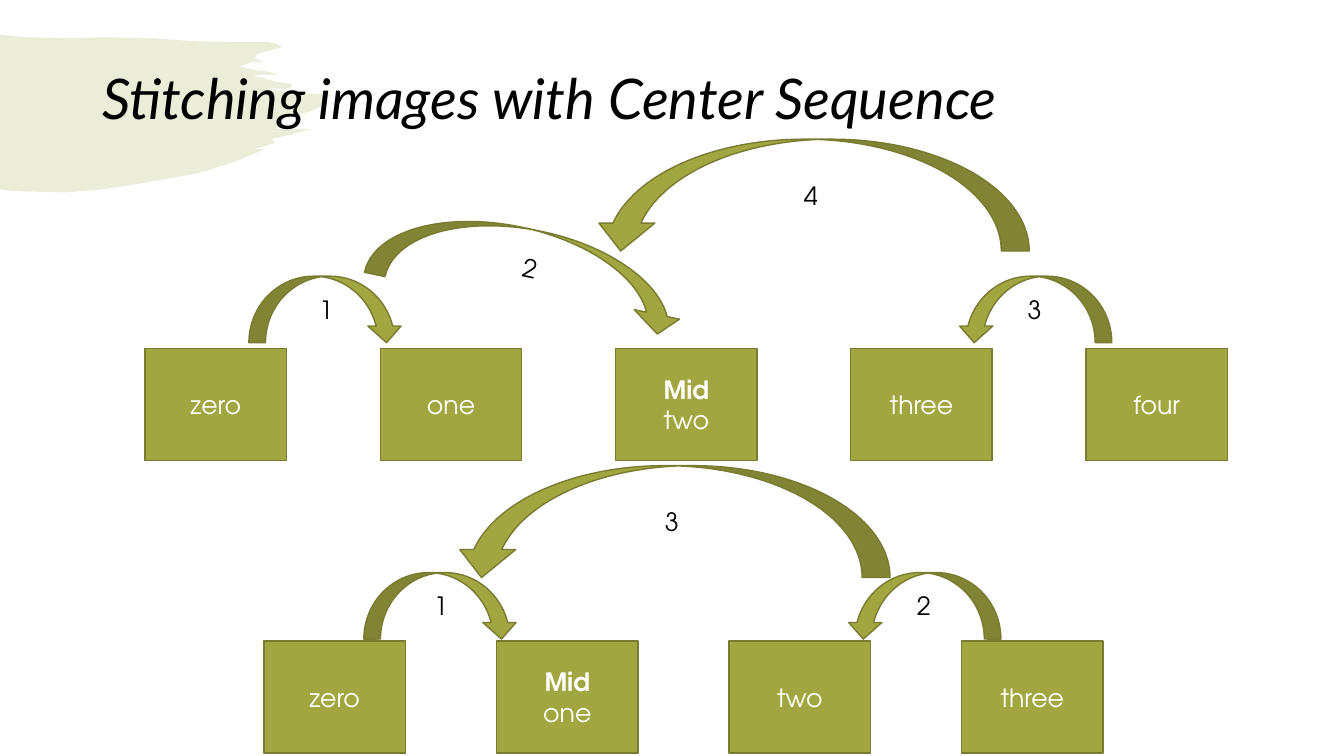
from lxml import etree
from pptx import Presentation
from pptx import util as u
from pptx.dml.color import RGBColor
from pptx.enum import shapes, text
from pptx.oxml.ns import qn

OLIVE = RGBColor(0xA2, 0xA6, 0x41)
DARK_OLIVE = RGBColor(0x78, 0x7B, 0x30)
WHITE = RGBColor(0xFF, 0xFF, 0xFF)
BLACK = RGBColor(0, 0, 0)
BODY_FONT, TITLE_FONT = "TeX Gyre Adventor", "Lato"

BOX_W, BOX_H = 101, 80
SMALL_ARC, LARGE_ARC = (110.2, 47.5), (311.8, 79.9)

# Box rows: left, top, step, labels
ROWS = [
    (103.7, 249.1, 168, ["zero", "one", "Mid\ntwo", "three", "four"]),
    (188.6, 457.9, 166.1, ["zero", "Mid\none", "two", "three"]),
]

# Arrows: label, left, top, size, leftward, rotation, adjustments
ARROWS = [
    ("1", 177.8, 197.3, SMALL_ARC, False, 0, ()),
    ("2", 263.5, 164.2, (230.4, 54.7), False, 11.9, (0.275, 0.605, 0.25)),
    ("4", 423.4, 99.4, LARGE_ARC, True, 0, ()),
    ("3", 684, 197.3, SMALL_ARC, True, 0, ()),
    ("1", 259.9, 409, SMALL_ARC, False, 0, ()),
    ("3", 324, 332.6, LARGE_ARC, True, 0, ()),
    ("2", 604.8, 409, SMALL_ARC, True, 0, ()),
]

# Outline of the brush stroke behind the title
BRUSH = [
    (0, 24.5), (4.3, 25.2), (18, 26.6), (47.5, 27.4), (73.4, 26.6),
    (108.7, 27.4), (139.7, 29.5), (178.6, 30.2), (190.8, 29.9), (197, 31),
    (201.6, 33.8), (195.1, 35.3), (183.6, 38.9), (182.2, 41), (184.3, 42.5),
    (188.6, 44.6), (179.5, 44.4), (171.4, 47.5), (177.1, 49), (184.3, 50.4),
    (191.5, 51.1), (198, 53.3), (189, 53.4), (180.7, 54), (189.4, 56.2),
    (196.6, 58.3), (201.6, 59), (207.4, 59.8), (208.8, 61.2), (206.6, 63.4),
    (204.5, 63.4), (189.4, 63.4), (213, 66.6), (237.6, 67.7), (231.1, 69.8),
    (229, 76.3), (221, 79.9), (216, 81.4), (203.8, 83.5), (201.6, 86.4),
    (200.2, 90), (197.3, 92.2), (221.8, 92.2), (208, 96), (193.7, 99.4),
    (196.6, 102.2), (181.4, 106.6), (189.4, 106.6), (168, 115.5),
    (141.8, 123.8), (106.6, 130.1), (73.4, 135.4), (46.8, 137.5),
    (16.6, 136.8), (5, 136.1), (0, 135.4),
]


def set_all(target, values):
    for name, value in values.items():
        setattr(target, name, value)


def write(tf, lines, color, size=18, font=BODY_FONT,
          align=text.PP_ALIGN.CENTER, italic=False):
    set_all(tf, {"word_wrap": True, "vertical_anchor": text.MSO_ANCHOR.MIDDLE})
    for i, line in enumerate(lines):
        p = tf.add_paragraph() if i else tf.paragraphs[0]
        p.alignment = align
        r = p.add_run()
        r.text = line
        set_all(r.font, {"size": u.Pt(size), "name": font, "italic": italic,
                         "bold": line == "Mid"})
        r.font.color.rgb = color


def paint(sp):
    sp.shadow.inherit = False
    sp.fill.solid()
    sp.fill.fore_color.rgb = OLIVE
    sp.line.color.rgb = DARK_OLIVE
    sp.line.width = u.Pt(1)


def add_brush(s):
    points = [(u.Pt(x), u.Pt(y)) for x, y in BRUSH]
    builder = s.shapes.build_freeform(*points[0])
    builder.add_line_segments(points[1:], close=True)
    sp = builder.convert_to_shape()
    paint(sp)
    sp.line.fill.background()
    # 20 % opacity
    color = sp.fill._xPr.find(qn("a:solidFill"))[0]
    etree.SubElement(color, qn("a:alpha"), val="20000")


def add_title(s, title):
    tb = s.shapes.add_textbox(u.Pt(66), u.Pt(20.2), u.Pt(828), u.Pt(104.4))
    write(tb.text_frame, [title], BLACK, size=40, font=TITLE_FONT,
          align=text.PP_ALIGN.LEFT, italic=True)
    tb.text_frame.paragraphs[0].line_spacing = 0.9


def add_box(s, label, x, y):
    sp = s.shapes.add_shape(shapes.MSO_SHAPE.RECTANGLE, u.Pt(x), u.Pt(y),
                            u.Pt(BOX_W), u.Pt(BOX_H))
    paint(sp)
    write(sp.text_frame, label.split("\n"), WHITE)


def add_arrow(s, label, x, y, size, leftward, rotation, adjustments):
    sp = s.shapes.add_shape(shapes.MSO_SHAPE.CURVED_DOWN_ARROW,
                            u.Pt(x), u.Pt(y), u.Pt(size[0]), u.Pt(size[1]))
    paint(sp)
    sp.rotation = rotation
    for i, value in enumerate(adjustments):
        sp.adjustments[i] = value
    if leftward:
        sp._element.spPr.find(qn("a:xfrm")).set("flipH", "1")
    write(sp.text_frame, [label], BLACK)


def main():
    prs = Presentation()
    set_all(prs, {"slide_width": u.Pt(960), "slide_height": u.Pt(540)})
    s = prs.slides.add_slide(prs.slide_layouts[6])

    # Heading
    add_brush(s)
    add_title(s, "Stitching images with Center Sequence")

    # Image boxes
    for left, top, step, labels in ROWS:
        for i, label in enumerate(labels):
            add_box(s, label, left + i * step, top)

    # Stitching order
    for arrow in ARROWS:
        add_arrow(s, *arrow)

    prs.save("out.pptx")


if __name__ == "__main__":
    main()
